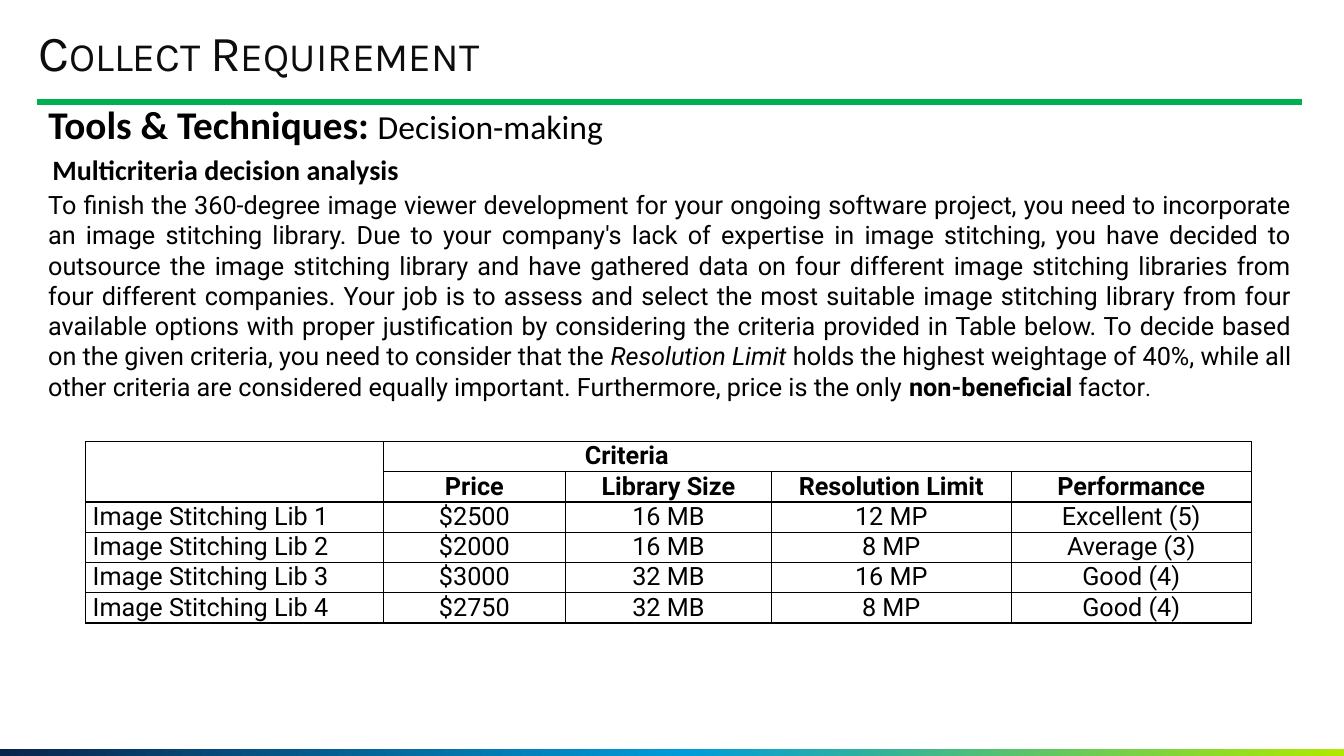
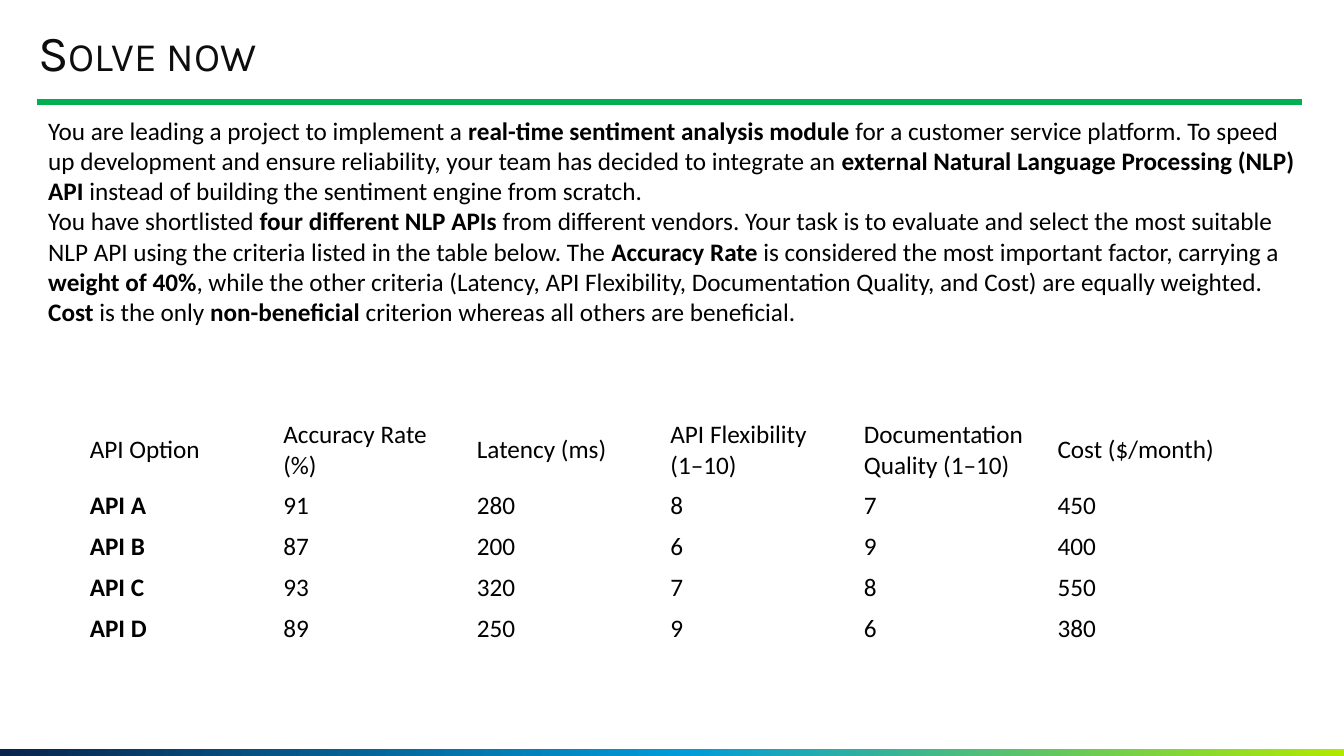
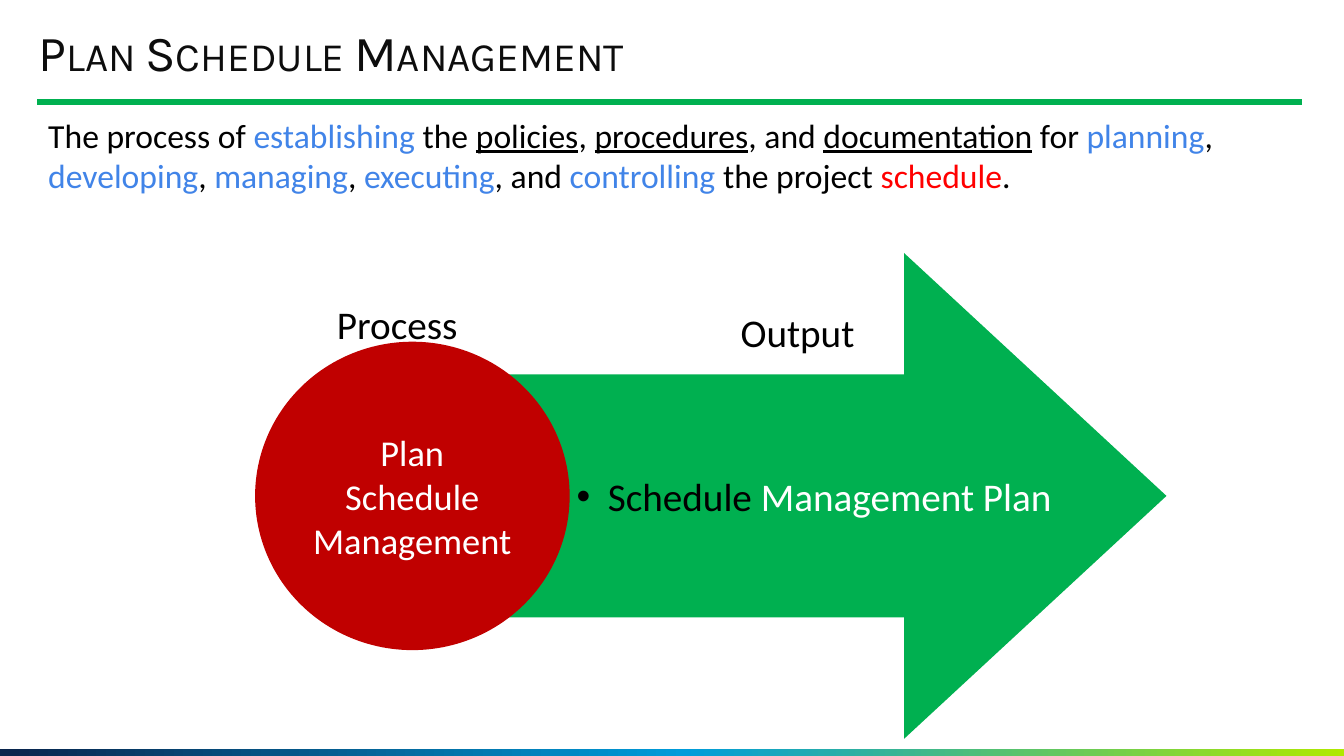
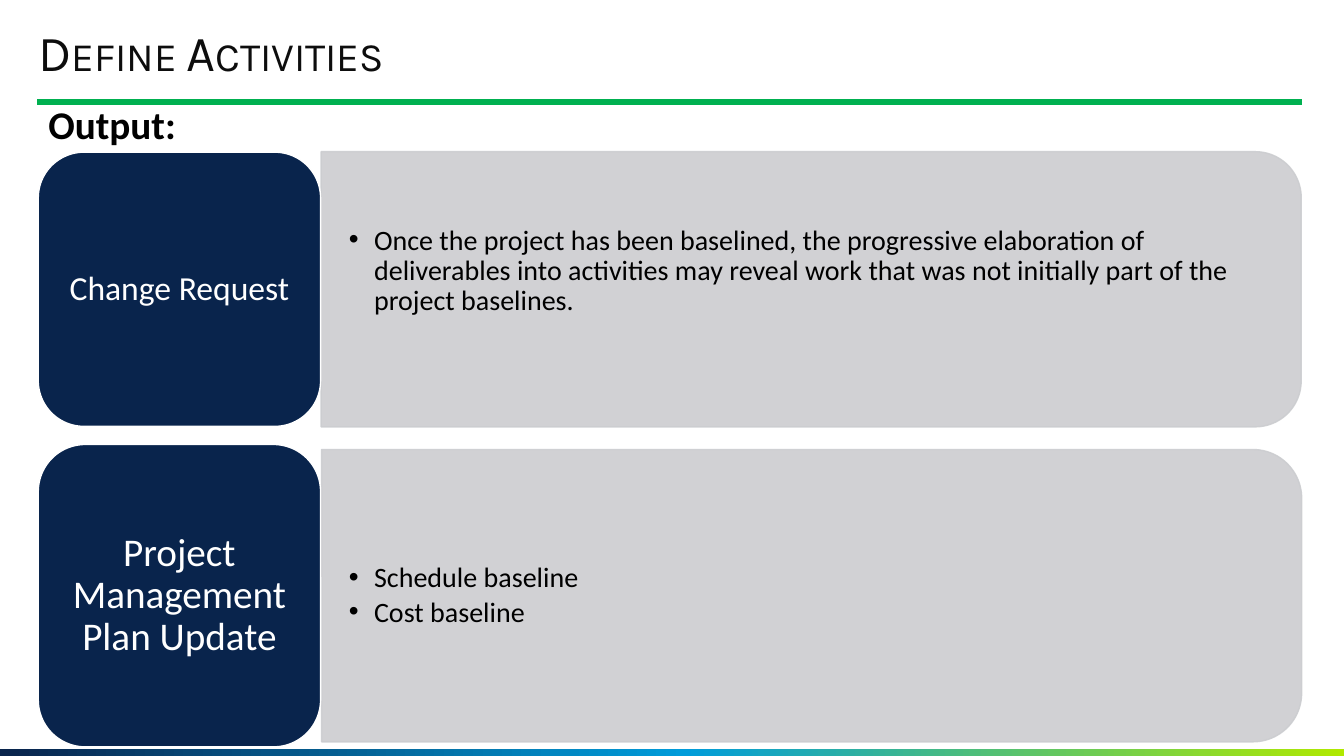
from pptx import Presentation
from pptx.dml.color import RGBColor
from pptx.enum.shapes import MSO_CONNECTOR, MSO_SHAPE
from pptx.enum.text import MSO_ANCHOR as Anchor, MSO_AUTO_SIZE as AutoSize, PP_ALIGN as Align
from pptx.oxml import parse_xml
from pptx.oxml.ns import nsdecls, qn
from pptx.util import Inches, Pt

BLACK = RGBColor(0x00, 0x00, 0x00)
WHITE = RGBColor(0xFF, 0xFF, 0xFF)
TITLE_INK = RGBColor(0x0D, 0x0D, 0x0D)
NAVY = RGBColor(0x09, 0x24, 0x4C)
SKY = RGBColor(0x00, 0x9C, 0xDA)
LIME = RGBColor(0xB0, 0xE9, 0x00)
GREEN = RGBColor(0x00, 0xB0, 0x50)
DARK_RED = RGBColor(0xC0, 0x00, 0x00)
RED = RGBColor(0xFF, 0x00, 0x00)
BLUE = RGBColor(0x41, 0x84, 0xE8)
GRAY = RGBColor(0xCC, 0xCD, 0xD0)

BOLD = {"bold": True}
ITALIC = {"italic": True}
UNDERLINED = {"underline": True}
VERB = {"color": BLUE}
NO_INSETS = (0, 0, 0, 0)


def write(frame, paragraphs, insets=None, anchor=Anchor.TOP, bullet=None, layout=None, **base):
    frame.word_wrap = True
    frame.auto_size = AutoSize.NONE
    frame.vertical_anchor = anchor
    if insets:
        for side, inset in zip(("left", "top", "right", "bottom"), insets):
            setattr(frame, f"margin_{side}", Inches(inset))
    for index, parts in enumerate(paragraphs):
        paragraph = frame.add_paragraph() if index else frame.paragraphs[0]
        properties = paragraph._p.get_or_add_pPr()
        if bullet:
            properties.set("marL", str(Inches(bullet)))
            properties.set("indent", str(-Inches(bullet)))
            properties.append(parse_xml(f'<a:buFont {nsdecls("a")} typeface="Arial"/>'))
            properties.append(parse_xml(f'<a:buChar {nsdecls("a")} char="•"/>'))
        for name, value in (layout or {}).items():
            setattr(paragraph, name, value)
        for part in [parts] if isinstance(parts, str) else parts:
            text, own = (part, {}) if isinstance(part, str) else part
            run = paragraph.add_run()
            run.text = text
            for name, value in {"name": "Calibri", "color": BLACK, **base, **own}.items():
                if name == "color":
                    run.font.color.rgb = value
                else:
                    setattr(run.font, name, value)


def add_block(slide, kind, place, fill):
    block = slide.shapes.add_shape(kind, *map(Inches, place))
    block.shadow.inherit = False
    block.fill.solid()
    block.fill.fore_color.rgb = fill
    block.line.fill.background()
    return block


prs = Presentation()
prs.slide_width, prs.slide_height = Inches(13.33), Inches(7.5)

TITLE_AND_BODY, TITLE_ONLY = prs.slide_layouts[1], prs.slide_layouts[5]
pages = []
for title, page_layout in (
    ("Collect Requirement", TITLE_AND_BODY),
    ("Solve now", TITLE_ONLY),
    ("Plan Schedule Management", TITLE_ONLY),
    ("Define Activities", TITLE_AND_BODY),
):
    page = prs.slides.add_slide(page_layout)
    heading = page.shapes.title
    heading.left, heading.top, heading.width, heading.height = map(Inches, (0.38, 0.27, 11.19, 0.55))
    write(heading.text_frame, [title], insets=NO_INSETS, anchor=Anchor.MIDDLE,
          layout={"alignment": Align.LEFT, "line_spacing": 0.9},
          name="Karla", size=Pt(36), color=TITLE_INK)
    heading.text_frame.paragraphs[0].runs[0]._r.get_or_add_rPr().set("cap", "small")
    pages.append(page)
criteria_page, exercise_page, schedule_page, activities_page = pages

band = add_block(criteria_page, MSO_SHAPE.RECTANGLE, (0, 7.43, 13.33, 0.07), NAVY)
band.fill.gradient()
band.fill.gradient_angle = 0
stops = band._element.spPr.find(qn("a:gradFill")).find(qn("a:gsLst"))
for stop in list(stops):
    stops.remove(stop)
for position, color in ((0, NAVY), (51000, SKY), (100000, LIME)):
    stops.append(parse_xml(f'<a:gs {nsdecls("a")} pos="{position}"><a:srgbClr val="{color}"/></a:gs>'))
title_rule = criteria_page.shapes.add_connector(
    MSO_CONNECTOR.STRAIGHT, Inches(0.37), Inches(1.01), Inches(12.91), Inches(1.01))
title_rule.line.color.rgb = GREEN
title_rule.line.width = Pt(4.5)
title_rule._element.spPr.append(parse_xml(f'<a:effectLst {nsdecls("a")}/>'))
for number, shared in enumerate((band, title_rule), start=20):
    shared._element.xpath(".//p:cNvPr")[0].set("id", str(number))
    prs.slide_master.shapes._spTree.append(shared._element)

for page, subtitle in (
    (criteria_page, [("Tools & Techniques: ", BOLD), ("Decision-making", {"size": Pt(24)})]),
    (activities_page, [("Output:", BOLD)]),
):
    body = page.placeholders[1]
    body.left, body.top, body.width, body.height = map(Inches, (0.38, 1, 12.53, 0.55))
    properties = body.text_frame.paragraphs[0]._p.get_or_add_pPr()
    properties.set("marL", "0")
    properties.set("indent", "0")
    properties.append(parse_xml(f'<a:buNone {nsdecls("a")}/>'))
    write(body.text_frame, [subtitle], layout={"line_spacing": 0.9, "space_before": Pt(0)}, size=Pt(28))

method = criteria_page.shapes.add_textbox(*map(Inches, (0.42, 1.3, 12.11, 0.55)))
write(method.text_frame, ["Multicriteria decision analysis"], layout={"line_spacing": 1.5},
      size=Pt(20), bold=True)
scenario = criteria_page.shapes.add_textbox(*map(Inches, (0.38, 1.83, 12.53, 2.22)))
write(scenario.text_frame, [[
    "To finish the 360-degree image viewer development for your ongoing software project, you need to "
    "incorporate an image stitching library. Due to your company's lack of expertise in image stitching, "
    "you have decided to outsource the image stitching library and have gathered data on four different "
    "image stitching libraries from four different companies. Your job is to assess and select the most "
    "suitable image stitching library from four available options with proper justification by considering "
    "the criteria provided in Table below. To decide based on the given criteria, you need to consider that the ",
    ("Resolution Limit", ITALIC),
    " holds the highest weightage of 40%, while all other criteria are considered equally important. "
    "Furthermore, price is the only ",
    ("non-beneficial", BOLD),
    " factor",
    (".", {"size": Pt(16)}),
]], layout={"alignment": Align.JUSTIFY}, name="Roboto", size=Pt(18))

library_rows = (
    ("", "Criteria", "", "", ""),
    ("", "Price", "Library Size", "Resolution Limit", "Performance"),
    ("Image Stitching Lib 1", "$2500", "16 MB", "12 MP", "Excellent (5)"),
    ("Image Stitching Lib 2", "$2000", "16 MB", "8 MP", "Average (3)"),
    ("Image Stitching Lib 3", "$3000", "32 MB", "16 MP", "Good (4)"),
    ("Image Stitching Lib 4", "$2750", "32 MB", "8 MP", "Good (4)"),
)
api_rows = (
    ("API Option", "Accuracy Rate (%)", "Latency (ms)", "API Flexibility (1–10)",
     "Documentation Quality (1–10)", "Cost ($/month)"),
    ("API A", "91", "280", "8", "7", "450"),
    ("API B", "87", "200", "6", "9", "400"),
    ("API C", "93", "320", "7", "8", "550"),
    ("API D", "89", "250", "9", "6", "380"),
)
tables = []
for page, rows, place, widths, heights in (
    (criteria_page, library_rows, (0.85, 4.38, 11.56, 1.8), (2.95, 1.81, 2.04, 2.38, 2.38), [0.3] * 6),
    (exercise_page, api_rows, (0.79, 4.11, 11.52, 2.3), [1.92] * 6, [0.7] + [0.4] * 4),
):
    table = page.shapes.add_table(len(rows), len(widths), *map(Inches, place)).table
    table.first_row = table.horz_banding = False
    for column, width in zip(table.columns, widths):
        column.width = Inches(width)
    for row, height in zip(table.rows, heights):
        row.height = Inches(height)
    for cell in table.iter_cells():
        cell.fill.background()
    tables.append(table)
library_table, api_table = tables

library_table.cell(0, 0).merge(library_table.cell(1, 0))
library_table.cell(0, 1).merge(library_table.cell(0, 4))
for r, values in enumerate(library_rows):
    for c, value in enumerate(values):
        cell = library_table.cell(r, c)
        spanning = (r, c) == (0, 1)
        cell.margin_left = Inches(2 if spanning else 0.07)
        cell.margin_right = Inches(0.07)
        cell.margin_top = cell.margin_bottom = 0
        for order, side in enumerate("LRTB"):
            cell._tc.get_or_add_tcPr().insert(order, parse_xml(
                f'<a:ln{side} {nsdecls("a")} w="{Pt(1)}"><a:solidFill><a:srgbClr val="{BLACK}"/>'
                f'</a:solidFill></a:ln{side}>'))
        write(cell.text_frame, [value], name="Roboto", size=Pt(18), bold=r < 2,
              layout={"alignment": Align.LEFT if c == 0 or spanning else Align.CENTER})

for r, values in enumerate(api_rows):
    for c, value in enumerate(values):
        cell = api_table.cell(r, c)
        write(cell.text_frame, [value], size=Pt(18), bold=r > 0 and c == 0)
        cell.vertical_anchor = Anchor.MIDDLE

exercise = exercise_page.shapes.add_textbox(*map(Inches, (0.38, 1.09, 12.58, 2.22)))
write(exercise.text_frame, [
    ["You are leading a project to implement a ",
     ("real-time sentiment analysis module", BOLD),
     " for a customer service platform. To speed up development and ensure reliability, your team has "
     "decided to integrate an ",
     ("external Natural Language Processing (NLP) API", BOLD),
     " instead of building the sentiment engine from scratch."],
    ["You have shortlisted ",
     ("four different NLP APIs", BOLD),
     " from different vendors. Your task is to evaluate and select the most suitable NLP API using the "
     "criteria listed in the table below. The ",
     ("Accuracy Rate", BOLD),
     " is considered the most important factor, carrying a ",
     ("weight of 40%", BOLD),
     ", while the other criteria (Latency, API Flexibility, Documentation Quality, and Cost) are equally weighted. ",
     ("Cost", BOLD),
     " is the only ",
     ("non-beneficial", BOLD),
     " criterion whereas all others are beneficial."],
], size=Pt(18))

definition = schedule_page.shapes.add_textbox(*map(Inches, (0.38, 1.09, 12.52, 0.91)))
write(definition.text_frame, [[
    "The process of ", ("establishing", VERB), " the ", ("policies", UNDERLINED), ", ",
    ("procedures", UNDERLINED), ", and ", ("documentation", UNDERLINED), " for ",
    ("planning", VERB), ", ", ("developing", VERB), ", ", ("managing", VERB), ", ",
    ("executing", VERB), ", and ", ("controlling", VERB), " the project ",
    ("schedule", {"color": RED}), ".",
]], size=Pt(24))

output_arrow = add_block(schedule_page, MSO_SHAPE.RIGHT_ARROW, (4.81, 2.51, 6.76, 4.82), GREEN)
output_arrow.adjustments[0], output_arrow.adjustments[1] = 0.5, 0.54
process_circle = add_block(schedule_page, MSO_SHAPE.OVAL, (2.53, 3.39, 3.12, 3.06), DARK_RED)
write(process_circle.text_frame, ["Plan Schedule Management"], anchor=Anchor.MIDDLE,
      layout={"alignment": Align.CENTER}, size=Pt(26), color=WHITE)
for label, left, top in (("Process", 3.08, 2.93), ("Output", 7.05, 3.01)):
    caption = schedule_page.shapes.add_textbox(*map(Inches, (left, top, 1.72, 0.57)))
    write(caption.text_frame, [label], layout={"alignment": Align.CENTER}, size=Pt(28))
deliverable = schedule_page.shapes.add_textbox(*map(Inches, (5.62, 4.64, 5.58, 0.57)))
write(deliverable.text_frame, [["Schedule ", ("Management Plan", {"color": WHITE})]], bullet=0.31, size=Pt(28))

for label, label_size, label_place, panel_place, list_place, items in (
    ("Change Request", 24, (0.38, 1.51, 2.8, 2.72), (6.68, -1.99, 2.73, 9.72), (3.19, 1.63, 9.58, 2.12),
     ["Once the project has been baselined, the progressive elaboration of deliverables into activities "
      "may reveal work that was not initially part of the project baselines."]),
    ("Project Management Plan Update", 28, (0.38, 4.41, 2.8, 3), (6.6, 1.05, 2.9, 9.72), (3.19, 4.6, 9.57, 2.62),
     ["Schedule baseline", "Cost baseline"]),
):
    panel = add_block(activities_page, MSO_SHAPE.ROUND_2_SAME_RECTANGLE, panel_place, GRAY)
    panel.rotation = 90
    panel.line.color.rgb = GRAY
    panel.line.width = Pt(1)
    for tint in panel._element.spPr.iter(qn("a:srgbClr")):
        tint.append(parse_xml(f'<a:alpha {nsdecls("a")} val="90000"/>'))
    details = activities_page.shapes.add_textbox(*map(Inches, list_place))
    write(details.text_frame, items, insets=(0.27, 0.14, 0.27, 0.14), anchor=Anchor.MIDDLE, bullet=0.25,
          layout={"line_spacing": 0.9, "space_after": Pt(3)}, size=Pt(20))
    output_label = add_block(activities_page, MSO_SHAPE.ROUNDED_RECTANGLE, label_place, NAVY)
    output_label.line.color.rgb = WHITE
    output_label.line.width = Pt(1)
    write(output_label.text_frame, [label], anchor=Anchor.MIDDLE,
          layout={"alignment": Align.CENTER, "line_spacing": 0.9}, size=Pt(label_size), color=WHITE)

prs.save("out.pptx")
